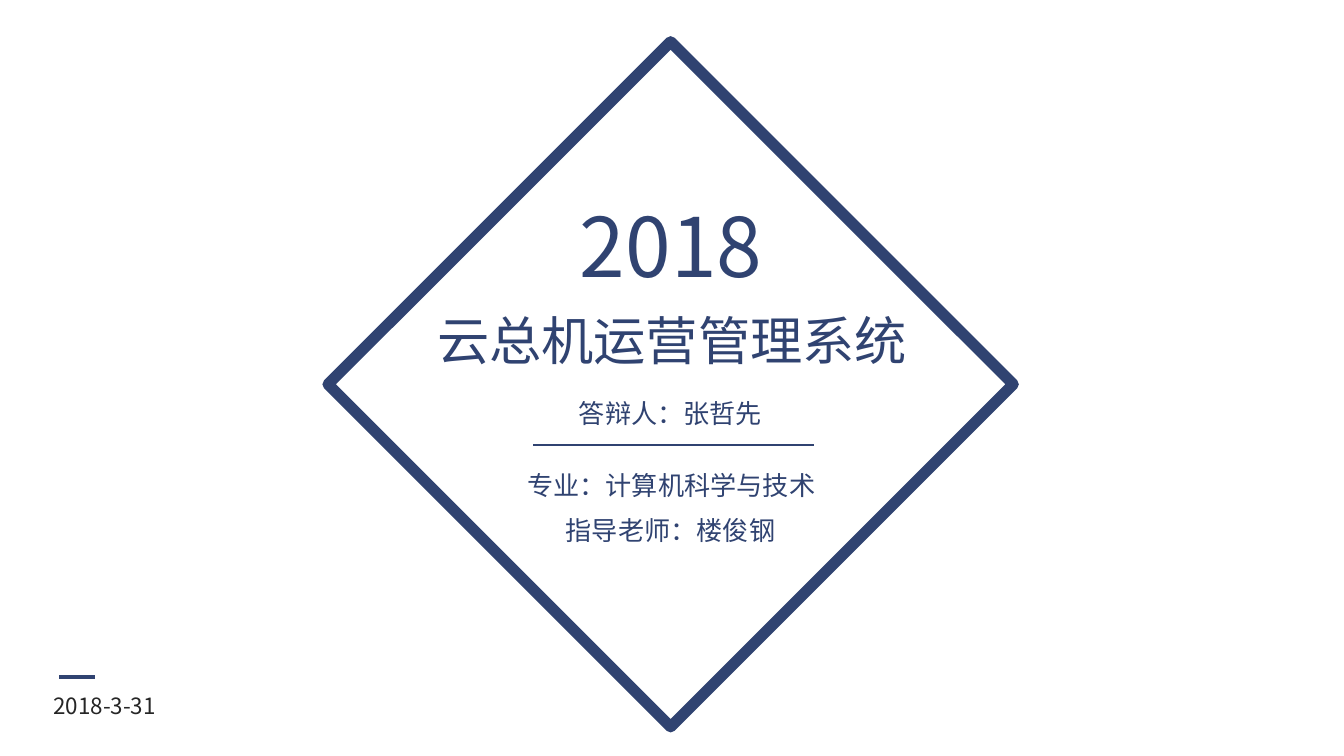
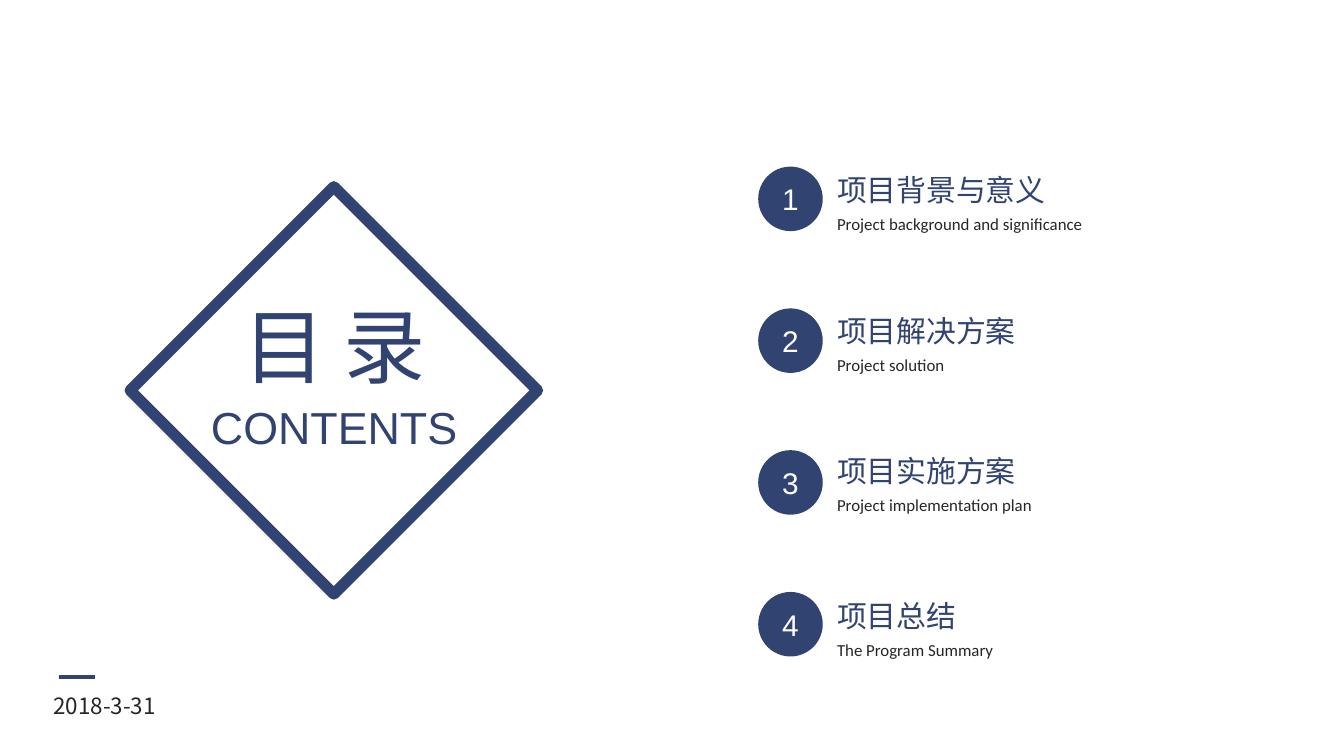
from dataclasses import dataclass

from lxml.etree import SubElement
from pptx import Presentation
from pptx.dml.color import RGBColor
from pptx.enum.shapes import MSO_CONNECTOR, MSO_SHAPE
from pptx.enum.text import MSO_ANCHOR, MSO_AUTO_SIZE, PP_ALIGN
from pptx.oxml.ns import qn
from pptx.presentation import Presentation as Deck
from pptx.shapes.autoshape import Shape
from pptx.slide import Slide
from pptx.util import Cm, Pt

COLORS = {"navy": "304371", "ink": "262626", "white": "FFFFFF"}
CHINESE = "Noto Sans CJK SC"
LATIN = "Arial"
SMALL_PRINT = "Calibri"
TITLE_ONLY_LAYOUT = 5


@dataclass(frozen=True)
class Area:
    """Left, top, width and height in centimetres."""
    left: float
    top: float
    width: float
    height: float


@dataclass(frozen=True)
class Chapter:
    heading: str
    translation: str
    top: float
    heading_width: float
    translation_width: float


@dataclass(frozen=True)
class Credit:
    text: str
    area: Area
    line_spacing: float = 1.0


CREDITS = [
    Credit("答辩人：张哲先", Area(6.91, 7.39, 11.53, 0.86)),
    Credit("专业：计算机科学与技术", Area(8.23, 8.46, 8.92, 1.04), 1.5),
    Credit("指导老师：楼俊钢", Area(6.91, 9.6, 11.53, 0.86)),
]
CHAPTERS = [
    Chapter("项目背景与意义", "Project background and significance", 3.12, 4.5, 5.16),
    Chapter("项目解决方案", "Project solution", 5.79, 3.94, 2.54),
    Chapter("项目实施方案", "Project implementation plan", 8.43, 3.94, 4.22),
    Chapter("项目总结", "The Program Summary", 11.18, 2.79, 3.48),
]
CHAPTER_LEFT = 15.57
TRANSLATION_OFFSET = 0.79
BADGE_LEFT, BADGE_TOP, BADGE_PITCH, BADGE_SIZE = 14.33, 3.15, 2.68, 1.22


def color(name: str) -> RGBColor:
    return RGBColor.from_string(COLORS[name])


def place(shape: Shape, area: Area) -> None:
    shape.left, shape.top = Cm(area.left), Cm(area.top)
    shape.width, shape.height = Cm(area.width), Cm(area.height)


def write(shape: Shape, text: str, *, size: float, font: str = CHINESE,
          ink: str = "navy", align: PP_ALIGN = PP_ALIGN.CENTER,
          anchor: MSO_ANCHOR = MSO_ANCHOR.TOP, wrap: bool = False,
          grow: bool = True, line_spacing: float = 1.0) -> None:
    """Fill a shape with one formatted paragraph."""
    frame = shape.text_frame
    frame.word_wrap = wrap
    frame.auto_size = MSO_AUTO_SIZE.SHAPE_TO_FIT_TEXT if grow else MSO_AUTO_SIZE.NONE
    frame.vertical_anchor = anchor
    para = frame.paragraphs[0]
    para.alignment = align
    para.line_spacing = line_spacing
    span = para.add_run()
    span.text = text
    span.font.size = Pt(size)
    span.font.color.rgb = color(ink)
    span.font.name = font
    SubElement(span.font._element, qn("a:ea"), typeface=CHINESE)


def add_text(page: Slide, text: str, area: Area, **style) -> None:
    box = page.shapes.add_textbox(0, 0, 0, 0)
    place(box, area)
    write(box, text, **style)


def set_title(page: Slide, text: str, area: Area, size: float) -> None:
    place(page.shapes.title, area)
    write(page.shapes.title, text, size=size)


def add_rule(page: Slide, left: float, right: float, top: float, weight: float) -> None:
    rule = page.shapes.add_connector(
        MSO_CONNECTOR.STRAIGHT, Cm(left), Cm(top), Cm(right), Cm(top))
    rule.line.color.rgb = color("navy")
    rule.line.width = Pt(weight)
    SubElement(rule._element.spPr, qn("a:effectLst"))


def add_diamond(page: Slide, left: float, top: float, side: float) -> None:
    diamond = page.shapes.add_shape(
        MSO_SHAPE.DIAMOND, Cm(left), Cm(top), Cm(side), Cm(side))
    diamond.shadow.inherit = False
    diamond.fill.background()
    diamond.line.color.rgb = color("navy")
    diamond.line.width = Pt(6)


def add_badge(page: Slide, index: int) -> None:
    """Draw the numbered circle of a chapter."""
    badge = page.shapes.add_shape(
        MSO_SHAPE.OVAL, Cm(BADGE_LEFT), Cm(BADGE_TOP + index * BADGE_PITCH),
        Cm(BADGE_SIZE), Cm(BADGE_SIZE))
    badge.shadow.inherit = False
    badge.fill.solid()
    badge.fill.fore_color.rgb = color("navy")
    badge.line.fill.background()
    write(badge, str(index + 1), size=16, font=LATIN, ink="white",
          anchor=MSO_ANCHOR.MIDDLE, wrap=True, grow=False)


def add_chapter(page: Slide, index: int, chapter: Chapter) -> None:
    add_badge(page, index)
    add_text(page, chapter.heading,
             Area(CHAPTER_LEFT, chapter.top, chapter.heading_width, 0.94),
             size=16, align=PP_ALIGN.LEFT)
    add_text(page, chapter.translation,
             Area(CHAPTER_LEFT, chapter.top + TRANSLATION_OFFSET,
                  chapter.translation_width, 0.64),
             size=9, font=SMALL_PRINT, ink="ink", align=PP_ALIGN.LEFT)


def add_page(deck: Deck) -> Slide:
    """Add a page with the dated footer."""
    page = deck.slides.add_slide(deck.slide_layouts[TITLE_ONLY_LAYOUT])
    add_rule(page, 1.12, 1.8, 12.8, 2.25)
    add_text(page, "2018-3-31", Area(0.76, 12.95, 2.64, 0.76),
             size=12, ink="ink", align=PP_ALIGN.LEFT)
    return page


def build_cover(deck: Deck) -> None:
    page = add_page(deck)
    add_diamond(page, 6.2, 0.79, 12.95)
    add_text(page, "2018", Area(10.59, 3.56, 4.19, 2.13), size=44)
    set_title(page, "云总机运营管理系统", Area(7.95, 5.69, 9.5, 1.45), 28)
    add_rule(page, 10.08, 15.39, 8.41, 1.5)
    for credit in CREDITS:
        add_text(page, credit.text, credit.area, size=14, font=LATIN,
                 wrap=True, line_spacing=credit.line_spacing)


def build_contents(deck: Deck) -> None:
    page = add_page(deck)
    add_diamond(page, 2.46, 3.53, 7.7)
    set_title(page, "目 录", Area(4.27, 5.46, 4.11, 2.13), 44)
    add_text(page, "CONTENTS", Area(3.71, 7.44, 5.21, 1.27), size=24, font=LATIN)
    for index, chapter in enumerate(CHAPTERS):
        add_chapter(page, index, chapter)


def main() -> None:
    deck = Presentation()
    deck.slide_width, deck.slide_height = Cm(25.4), Cm(14.29)
    build_cover(deck)
    build_contents(deck)
    deck.save("out.pptx")


if __name__ == "__main__":
    main()
